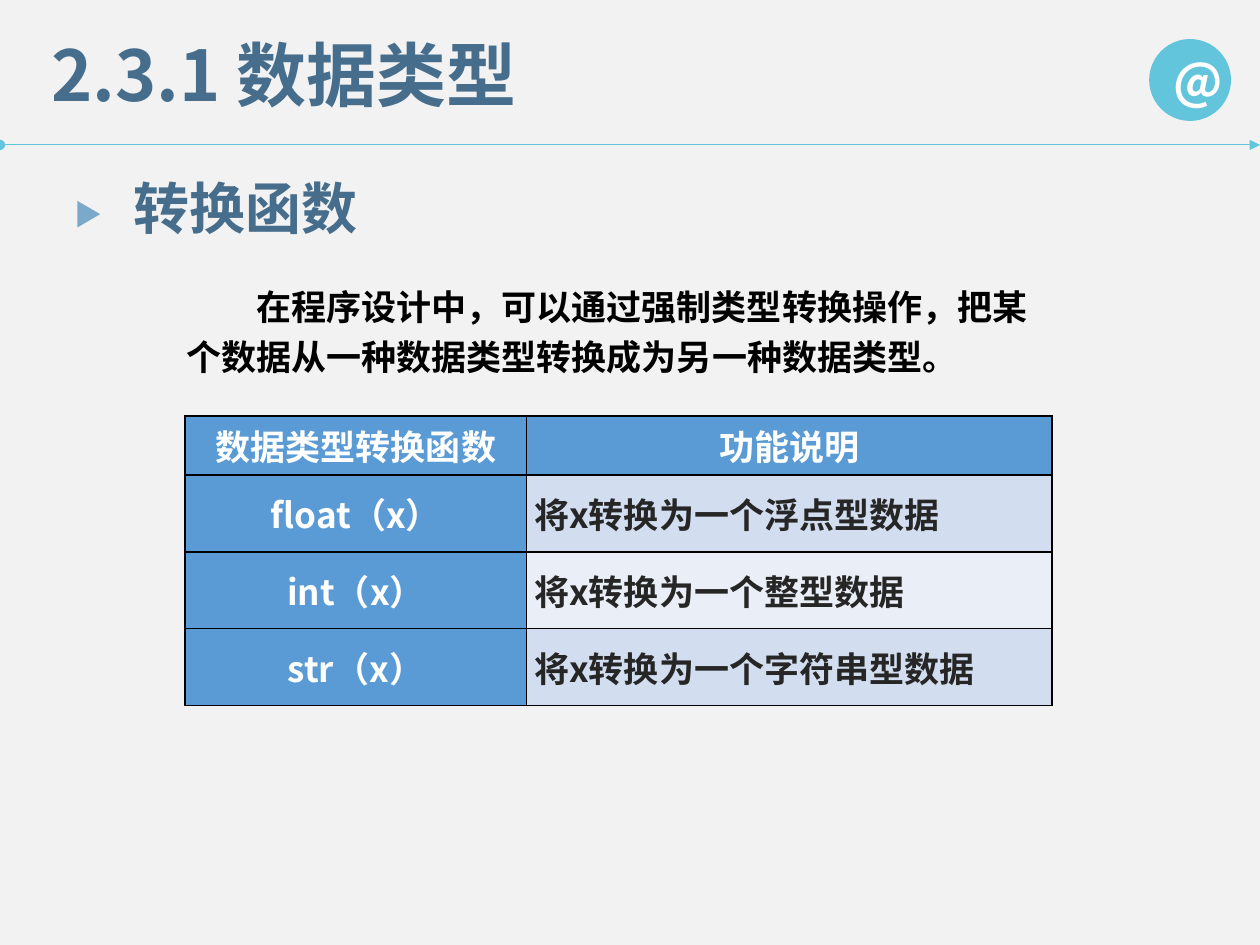
import pptx
import pptx.util
import pptx.dml.color
import pptx.enum.dml
import pptx.enum.shapes
import pptx.enum.text
import pptx.oxml
import pptx.oxml.ns
from lxml import etree

TITLE = "2.3.1 数据类型"
TOPIC = "转换函数"
INTRO = "在程序设计中，可以通过强制类型转换操作，把某个数据从一种数据类型转换成为另一种数据类型。"
HEAD = ("数据类型转换函数", "功能说明")
ROWS = [
    ("float（x）", "将x转换为一个浮点型数据"),
    ("int（x）", "将x转换为一个整型数据"),
    ("str（x）", "将x转换为一个字符串型数据"),
]

THEME = {
    "back": "F2F2F2", "accent": "62C5DC", "title": "466E8C", "mark": "7BA9CA",
    "head": "5B9BD5", "bands": ("D2DEEF", "EAEFF7"),
    "white": "FFFFFF", "black": "000000", "dark": "262626",
    "font": "Noto Sans CJK SC", "latin": "Calibri",
    "big": 40, "mid": 32, "badge": 28, "text": 20,
}

# The slide is a grid of 10 columns by 7.5 rows of square units.
UNIT = pptx.util.Inches(1)
COLS, LINES = 10, 7.5
RULE = 1.15
TABLE = (1.47, 3.3)
WIDTHS = (2.71, 4.17)
HEIGHTS = (0.47,) + (0.61,) * len(ROWS)

ALIGN = pptx.enum.text.PP_ALIGN
MIDDLE = pptx.enum.text.MSO_ANCHOR.MIDDLE
TOP = pptx.enum.text.MSO_ANCHOR.TOP
SHAPE = pptx.enum.shapes.MSO_SHAPE
qn = pptx.oxml.ns.qn


def grid(*units):
    return [round(unit * UNIT) for unit in units]


def paint(fill, color):
    fill.solid()
    fill.fore_color.rgb = pptx.dml.color.RGBColor.from_string(THEME[color] if color in THEME else color)


def write(frame, text, size="text", color="title", font="font",
          align=ALIGN.LEFT, anchor=MIDDLE, wrap=True, space=1.0, indent=0):
    """Put one bold paragraph into a text frame; indent is in characters."""
    frame.word_wrap = wrap
    frame.vertical_anchor = anchor
    para = frame.paragraphs[0]
    para.alignment = align
    para.line_spacing = space
    para.space_before = pptx.util.Pt(0)
    if indent:
        para._p.get_or_add_pPr().set("indent", str(pptx.util.Pt(indent * THEME[size])))
    run = para.add_run()
    run.text = text
    run.font.size = pptx.util.Pt(THEME[size])
    run.font.bold = True
    run.font.name = THEME[font]
    paint(run.font.fill, color)
    east = etree.SubElement(run._r.get_or_add_rPr(), qn("a:ea"))
    east.set("typeface", THEME[font])


def add_text(slide, place, text, **style):
    box = slide.shapes.add_textbox(*grid(*place))
    write(box.text_frame, text, **style)


def add_mark(slide, kind, place, color):
    mark = slide.shapes.add_shape(kind, *grid(*place))
    mark.shadow.inherit = False
    paint(mark.fill, color)
    mark.line.fill.background()
    return mark


def add_rule(slide):
    kind = pptx.enum.shapes.MSO_CONNECTOR.STRAIGHT
    rule = slide.shapes.add_connector(kind, *grid(0, RULE, COLS, RULE))
    rule.line.width = pptx.util.Pt(0.5)
    paint(rule.line.fill, "accent")
    line = rule.line._get_or_add_ln()
    for end, tip in (("a:headEnd", "oval"), ("a:tailEnd", "triangle")):
        etree.SubElement(line, qn(end)).set("type", tip)
    etree.SubElement(rule._element.spPr, qn("a:effectLst"))


def add_edges(cell):
    props = cell._tc.get_or_add_tcPr()
    for spot, side in enumerate(("lnL", "lnR", "lnT", "lnB")):
        edge = etree.Element(qn("a:" + side), w=str(pptx.util.Pt(1)))
        fill = etree.SubElement(edge, qn("a:solidFill"))
        etree.SubElement(fill, qn("a:srgbClr")).set("val", THEME["black"])
        props.insert(spot, edge)


def add_grid(slide):
    size = (sum(WIDTHS), sum(HEIGHTS))
    table = slide.shapes.add_table(len(HEIGHTS), len(WIDTHS), *grid(*TABLE, *size)).table
    for col, width in zip(table.columns, grid(*WIDTHS)):
        col.width = width
    for row, height in zip(table.rows, grid(*HEIGHTS)):
        row.height = height
    for r, texts in enumerate([HEAD] + ROWS):
        for c, text in enumerate(texts):
            cell = table.cell(r, c)
            label = r == 0 or c == 0
            cell.margin_left, cell.margin_right = grid(0.06, 0.06)
            cell.margin_top = cell.margin_bottom = 0
            cell.vertical_anchor = MIDDLE
            paint(cell.fill, "head" if label else THEME["bands"][(r - 1) % 2])
            write(cell.text_frame, text, color="white" if label else "dark",
                  align=ALIGN.CENTER if label else ALIGN.JUSTIFY)
            add_edges(cell)


def main():
    deck = pptx.Presentation()
    deck.slide_width, deck.slide_height = grid(COLS, LINES)
    slide = deck.slides.add_slide(deck.slide_layouts[5])
    paint(slide.background.fill, "back")

    title = slide.shapes.title
    title.left, title.top, title.width, title.height = grid(0.31, 0.2, 8.36, 0.77)
    title.text_frame.auto_size = pptx.enum.text.MSO_AUTO_SIZE.NONE
    write(title.text_frame, TITLE, size="big")

    add_rule(slide)
    badge = add_mark(slide, SHAPE.OVAL, (9.12, 0.31, 0.65, 0.65), "accent")
    write(badge.text_frame, "@", size="badge", color="white", align=ALIGN.CENTER)

    add_text(slide, (1.38, 2.15, 6.97, 0.96), INTRO, color="black",
             font="latin", anchor=TOP, space=1.2, indent=2)
    add_grid(slide)
    add_text(slide, (0.96, 1.32, 2, 0.64), TOPIC, size="mid", wrap=False)
    arrow = add_mark(slide, SHAPE.ISOSCELES_TRIANGLE, (0.6, 1.61, 0.21, 0.18), "mark")
    arrow.rotation = 90

    deck.save("out.pptx")


if __name__ == "__main__":
    main()
